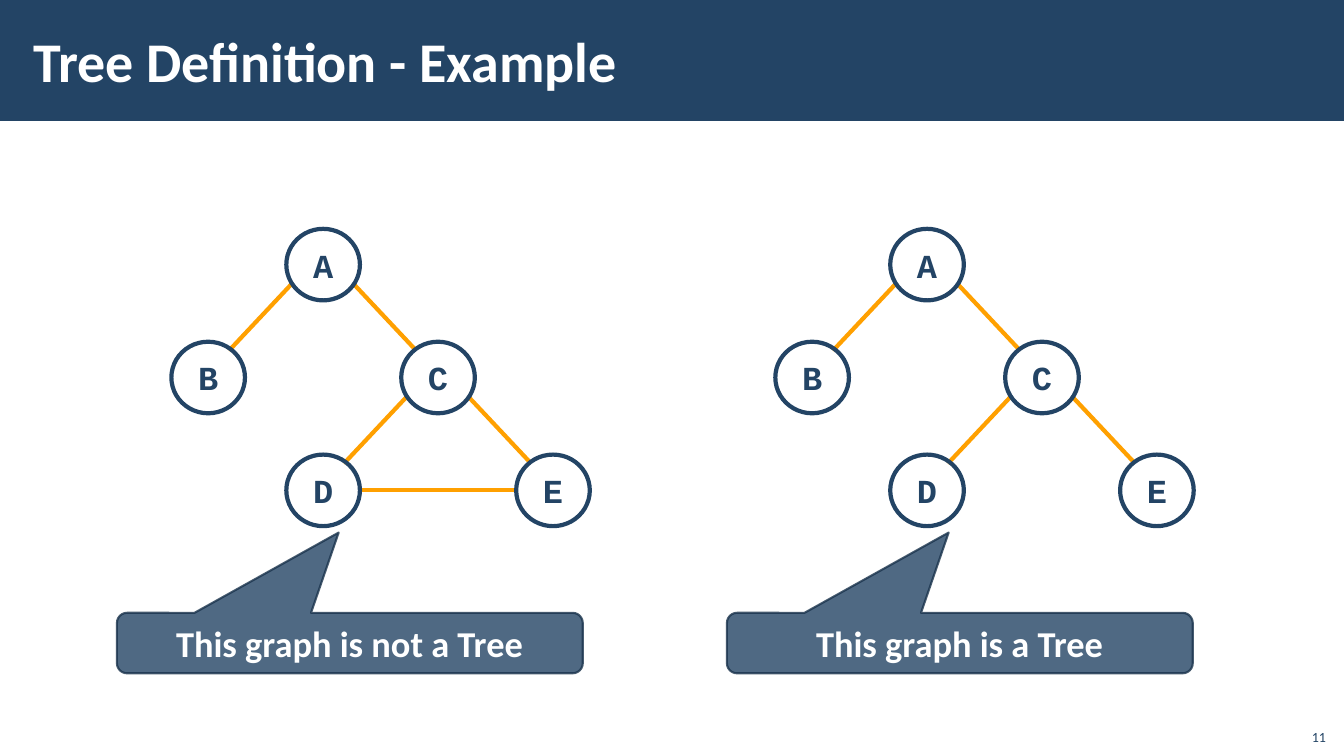
from lxml.etree import SubElement
from pptx import Presentation
from pptx.dml.color import RGBColor
from pptx.enum.shapes import MSO_CONNECTOR, MSO_SHAPE
from pptx.enum.text import MSO_ANCHOR, PP_ALIGN
from pptx.oxml.ns import qn
from pptx.util import Inches, Pt

NAVY = RGBColor(0x23, 0x44, 0x65)
DARK_NAVY = RGBColor(0x1A, 0x33, 0x4C)
ORANGE = RGBColor(0xFF, 0xA0, 0x00)
WHITE = RGBColor(0xFF, 0xFF, 0xFF)

NODE_WIDTH, NODE_HEIGHT = 0.73, 0.71
COLUMN_STEP, ROW_STEP = 1.14, 1.12
TREE_LEFT, TREE_TOP = 1.7, 2.27
NODES = {"A": (1, 0), "B": (0, 1), "C": (2, 1), "D": (1, 2), "E": (3, 2)}
TREE_EDGES = ["AB", "AC", "CD", "CE"]
GRAPHS = [
    (0, 1.16, TREE_EDGES + ["DE"], "This graph is not a Tree"),
    (5.99, 7.21, TREE_EDGES, "This graph is a Tree"),
]


class TreeSlide:
    """Holds the slide and the style of its title, graphs and callouts."""

    def __init__(self, presentation):
        self.slide = presentation.slides.add_slide(presentation.slide_layouts[5])
        self.shapes = self.slide.shapes

    def set_text(self, shape, text, size, color, font="Calibri", bold=True,
                 align=PP_ALIGN.CENTER, anchor=MSO_ANCHOR.MIDDLE):
        text_frame = shape.text_frame
        text_frame.text = text
        text_frame.vertical_anchor = anchor
        paragraph = text_frame.paragraphs[0]
        paragraph.alignment = align
        run_font = paragraph.runs[0].font
        run_font.name, run_font.size, run_font.bold = font, Pt(size), bold
        run_font.color.rgb = color

    def set_opacity(self, color_format, percent):
        color = color_format._xFill.find(qn("a:srgbClr"))
        SubElement(color, qn("a:alpha"), val=str(percent * 1000))

    def shape(self, kind, left, top, width, height, fill):
        shape = self.shapes.add_shape(
            kind, Inches(left), Inches(top), Inches(width), Inches(height))
        shape.shadow.inherit = False
        shape.fill.solid()
        shape.fill.fore_color.rgb = fill
        shape.line.fill.background()
        return shape

    def outline(self, shape, color, width):
        shape.line.color.rgb = color
        shape.line.width = Pt(width)

    def title(self, text):
        title = self.shapes.title
        bar = self.shape(MSO_SHAPE.RECTANGLE, 0, 0, 13.34, 1.2, NAVY)
        title.element.addprevious(bar.element)
        title.left, title.top = Inches(0.21), Inches(0.11)
        title.width, title.height = Inches(10.63), Inches(0.97)
        self.set_text(title, text, 40, WHITE, align=PP_ALIGN.LEFT)
        text_frame = title.text_frame
        text_frame.margin_left = text_frame.margin_right = Inches(0.12)
        text_frame.margin_top = text_frame.margin_bottom = Inches(0.04)

    def page_number(self, text):
        box = self.shapes.add_textbox(
            Inches(12.85), Inches(7.12), Inches(0.4), Inches(0.32))
        box.text_frame.word_wrap = True
        self.set_text(box, text, 10, NAVY, bold=False,
                      align=PP_ALIGN.RIGHT, anchor=MSO_ANCHOR.BOTTOM)

    def node_corner(self, offset, name):
        column, row = NODES[name]
        return (offset + TREE_LEFT + column * COLUMN_STEP,
                TREE_TOP + row * ROW_STEP)

    def edge(self, offset, start, end):
        start_left, start_top = self.node_corner(offset, start)
        end_left, end_top = self.node_corner(offset, end)
        if start_top == end_top:
            start_dx, end_dx = NODE_WIDTH, 0
            start_dy = end_dy = NODE_HEIGHT / 2
        else:
            start_dx, end_dx = (0.05, 0.57) if end_left < start_left else (0.67, 0.15)
            start_dy, end_dy = 0.55, 0.09
        connector = self.shapes.add_connector(
            MSO_CONNECTOR.STRAIGHT,
            Inches(start_left + start_dx), Inches(start_top + start_dy),
            Inches(end_left + end_dx), Inches(end_top + end_dy))
        SubElement(connector.element.spPr, qn("a:effectLst"))
        self.outline(connector, ORANGE, 3)

    def node(self, offset, name):
        left, top = self.node_corner(offset, name)
        circle = self.shape(
            MSO_SHAPE.OVAL, left, top, NODE_WIDTH, NODE_HEIGHT, WHITE)
        self.set_opacity(circle.fill._xPr.find(qn("a:solidFill")) is not None
                         and circle.fill.fore_color, 50)
        self.outline(circle, NAVY, 3)
        circle.text_frame.word_wrap = False
        self.set_text(circle, name, 24, NAVY, font="Courier New")

    def callout(self, left, text):
        callout = self.shape(
            MSO_SHAPE.ROUNDED_RECTANGULAR_CALLOUT, left, 6.08, 4.62, 0.6, NAVY)
        for index, value in enumerate((-0.024, -1.827, 0.167)):
            callout.adjustments[index] = value
        self.outline(callout, DARK_NAVY, 1.5)
        self.set_opacity(callout.fill.fore_color, 80)
        self.set_opacity(callout.line.color, 80)
        callout.text_frame.word_wrap = True
        self.set_text(callout, text, 26, WHITE)

    def graph(self, offset, edges):
        for start, end in edges:
            self.edge(offset, start, end)
        for name in NODES:
            self.node(offset, name)


def main():
    presentation = Presentation()
    presentation.slide_width = Inches(13.33)
    presentation.slide_height = Inches(7.5)
    slide = TreeSlide(presentation)
    slide.title("Tree Definition - Example")
    for offset, callout_left, edges, verdict in GRAPHS:
        slide.graph(offset, edges)
        slide.callout(callout_left, verdict)
    slide.page_number("11")
    presentation.save("out.pptx")


if __name__ == "__main__":
    main()
